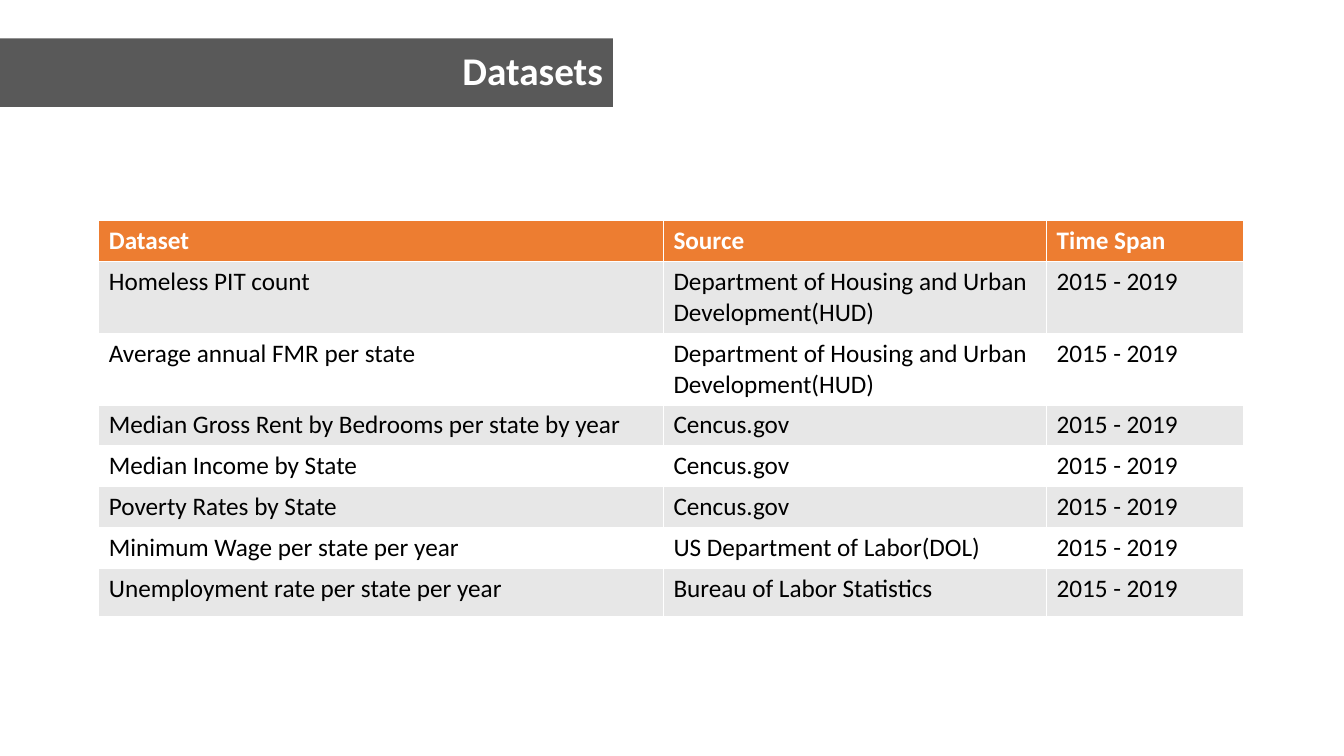
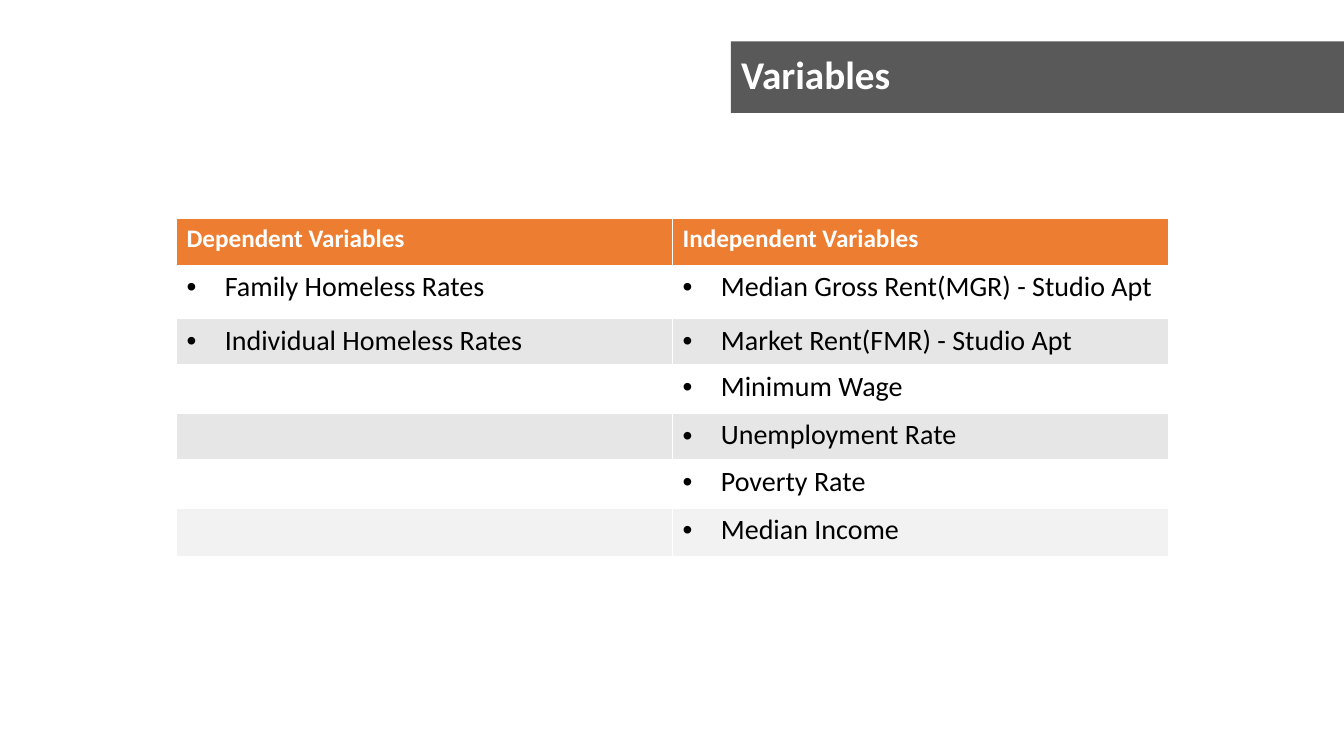
from lxml.etree import SubElement
from pptx import Presentation
from pptx.dml.color import RGBColor
from pptx.enum.text import MSO_ANCHOR, MSO_AUTO_SIZE, PP_ALIGN
from pptx.oxml.ns import qn
from pptx.util import Inches, Pt

FONT = "Calibri"
WHITE = RGBColor(0xFF, 0xFF, 0xFF)
BLACK = RGBColor(0x00, 0x00, 0x00)
BAND_GRAY = RGBColor(0x59, 0x59, 0x59)
ORANGE = RGBColor(0xED, 0x7D, 0x31)
DATASET_STRIPE = RGBColor(0xE7, 0xE7, 0xE7)
VARIABLE_STRIPE = RGBColor(0xE7, 0xE6, 0xE6)
LAST_STRIPE = RGBColor(0xF2, 0xF2, 0xF2)

SLIDE_WIDTH = 13.33
BAND_WIDTH = 6.08
BULLET_INDENT = Inches(0.38)
TITLE_ONLY = 5

HUD = "Department of Housing and Urban Development(HUD)"
CENSUS = "Cencus.gov"
SPAN = "2015 - 2019"
DATASETS = [
    ("Dataset", "Source", "Time Span"),
    ("Homeless PIT count", HUD, SPAN),
    # A no-break space keeps "Urban Development" on one line.
    ("Average annual FMR per state", "Department of Housing and Urban Development(HUD)", SPAN),
    ("Median Gross Rent by Bedrooms per state by year", CENSUS, SPAN),
    ("Median Income by State", CENSUS, SPAN),
    ("Poverty Rates by State", CENSUS, SPAN),
    ("Minimum Wage per state per year", "US Department of Labor(DOL)", SPAN),
    ("Unemployment rate per state per year", "Bureau of Labor Statistics", SPAN),
]
VARIABLES = [
    ("Dependent Variables", "Independent Variables"),
    ("Family Homeless Rates", "Median Gross Rent(MGR) - Studio Apt"),
    ("Individual Homeless Rates", "Market Rent(FMR) - Studio Apt"),
    ("", "Minimum Wage"),
    ("", "Unemployment Rate"),
    ("", "Poverty Rate"),
    ("", "Median Income"),
]


def set_font(paragraph, size, color, bold=False):
    font = paragraph.font
    font.name, font.size, font.bold = FONT, Pt(size), bold
    font.color.rgb = color


def add_bullet(paragraph):
    properties = paragraph._p.get_or_add_pPr()
    properties.set("marL", str(BULLET_INDENT))
    properties.set("indent", str(-BULLET_INDENT))
    SubElement(properties, qn("a:buFont"), typeface="Arial")
    SubElement(properties, qn("a:buChar"), char="•")


def add_titled_slide(prs, heading, left, top, height, align):
    """Add a slide whose title is a gray band running in from one edge."""
    slide = prs.slides.add_slide(prs.slide_layouts[TITLE_ONLY])
    title = slide.shapes.title
    title.left, title.top = Inches(left), Inches(top)
    title.width, title.height = Inches(BAND_WIDTH), Inches(height)
    title.fill.solid()
    title.fill.fore_color.rgb = BAND_GRAY
    frame = title.text_frame
    frame.text = heading
    frame.auto_size = MSO_AUTO_SIZE.NONE
    frame.vertical_anchor = MSO_ANCHOR.MIDDLE
    paragraph = frame.paragraphs[0]
    paragraph.alignment = align
    paragraph.line_spacing = 0.9
    set_font(paragraph, 28, WHITE, bold=True)
    return slide


def add_table(slide, rows, left, top, widths, heights, fills, body_size,
              header_anchor=MSO_ANCHOR.TOP, bulleted=False):
    """Add a table with an orange header and one fill per body row."""
    table = slide.shapes.add_table(
        len(rows), len(widths), Inches(left), Inches(top),
        Inches(sum(widths)), Inches(sum(heights))).table
    for column, width in zip(table.columns, widths):
        column.width = Inches(width)
    for r, (texts, height, fill) in enumerate(zip(rows, heights, [ORANGE, *fills])):
        table.rows[r].height = Inches(height)
        for c, text in enumerate(texts):
            cell = table.cell(r, c)
            cell.fill.solid()
            cell.fill.fore_color.rgb = fill
            cell.text = text
            paragraph = cell.text_frame.paragraphs[0]
            if r == 0:
                cell.vertical_anchor = header_anchor
                set_font(paragraph, 18, WHITE, bold=True)
            elif text:
                if bulleted:
                    add_bullet(paragraph)
                set_font(paragraph, body_size, BLACK)


def add_datasets_slide(prs):
    slide = add_titled_slide(prs, "Datasets", 0, 0.38, 0.68, PP_ALIGN.RIGHT)
    add_table(slide, DATASETS, 0.98, 2.19, widths=[5.6, 3.8, 1.95],
              heights=[0.4] * 7 + [0.48],
              fills=[DATASET_STRIPE, WHITE] * 3 + [DATASET_STRIPE],
              body_size=18, header_anchor=MSO_ANCHOR.MIDDLE)


def add_variables_slide(prs):
    slide = add_titled_slide(prs, "Variables", SLIDE_WIDTH - BAND_WIDTH, 0.41, 0.71,
                             PP_ALIGN.LEFT)
    add_table(slide, VARIABLES, 1.75, 2.17, widths=[4.92] * 2,
              heights=[0.46, 0.53, 0.46, 0.48, 0.46, 0.48, 0.48],
              fills=[WHITE, VARIABLE_STRIPE] * 2 + [WHITE, LAST_STRIPE],
              body_size=20, bulleted=True)


def main():
    prs = Presentation()
    prs.slide_width, prs.slide_height = Inches(SLIDE_WIDTH), Inches(7.5)
    add_datasets_slide(prs)
    add_variables_slide(prs)
    prs.save("out.pptx")


if __name__ == "__main__":
    main()
